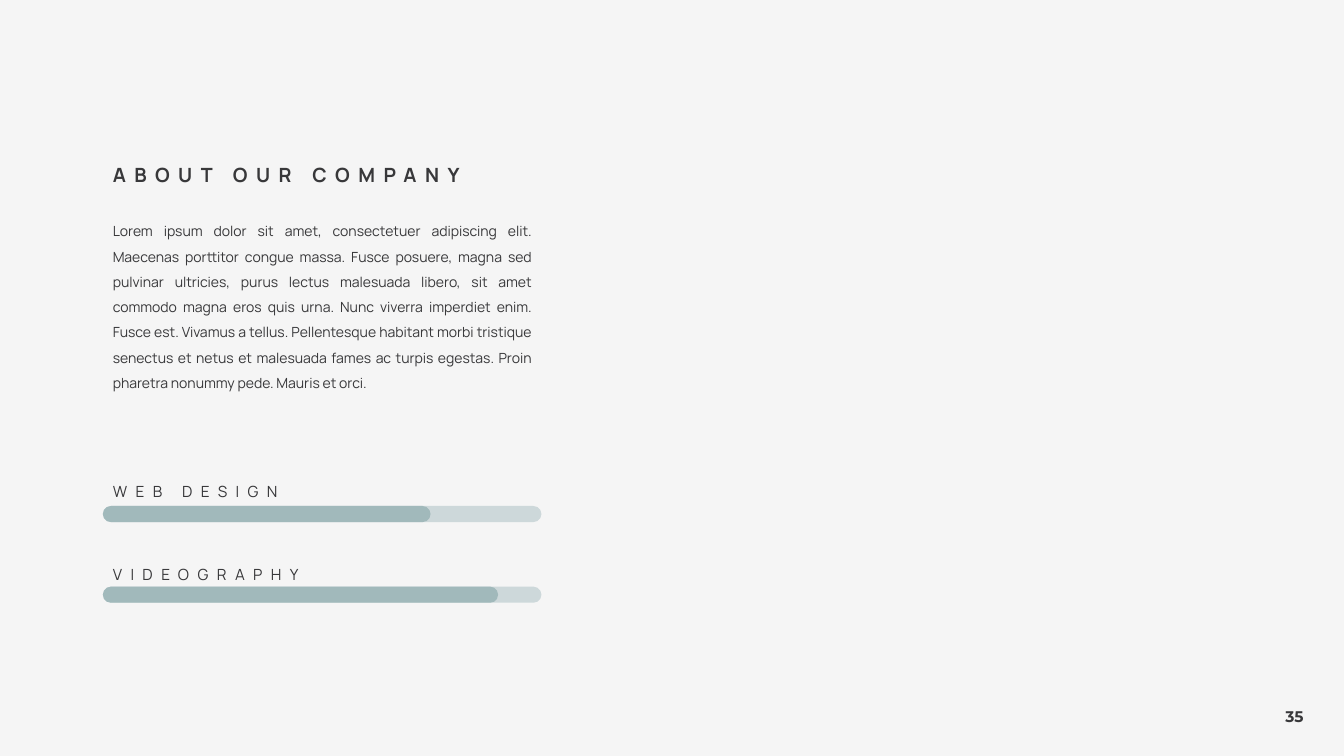
"""Build the company overview slide with two skill bars."""
from pptx import Presentation
from pptx.dml.color import RGBColor
from pptx.enum.shapes import MSO_SHAPE
from pptx.enum.text import MSO_ANCHOR, MSO_AUTO_SIZE, PP_ALIGN
from pptx.util import Inches, Pt

ROUNDED = MSO_SHAPE.ROUNDED_RECTANGLE
TOP, MIDDLE = MSO_ANCHOR.TOP, MSO_ANCHOR.MIDDLE
LEFT, JUSTIFY = PP_ALIGN.LEFT, PP_ALIGN.JUSTIFY
FIT_SHAPE = MSO_AUTO_SIZE.SHAPE_TO_FIT_TEXT
COLORS = {"background": "F5F5F5", "text": "38383A", "track": "CDD8DA", "level": "A1B9BB"}
MARGIN, COLUMN = 1.02, 4.35
ABOUT = (
    "Lorem ipsum dolor sit amet, consectetuer adipiscing elit. Maecenas porttitor congue massa. "
    "Fusce posuere, magna sed pulvinar ultricies, purus lectus malesuada libero, sit amet commodo "
    "magna eros quis urna. Nunc viverra imperdiet enim. Fusce est. Vivamus a tellus. Pellentesque "
    "habitant morbi tristique senectus et netus et malesuada fames ac turpis egestas. Proin pharetra "
    "nonummy pede. Mauris et orci."
)


def add_text(shapes, text, box, size, font="Manrope", bold=False, align=LEFT,
             spacing=1.5, tracking=0, anchor=TOP, wrap=True):
    tf = shapes.add_textbox(*map(Inches, box)).text_frame
    tf.word_wrap = wrap
    tf.auto_size = FIT_SHAPE
    tf.vertical_anchor = anchor
    p = tf.paragraphs[0]
    p.alignment = align
    p.line_spacing = spacing
    r = p.add_run()
    r.text = text
    r.font.name = font
    r.font.size = Pt(size)
    r.font.bold = bold
    r.font.color.rgb = RGBColor.from_string(COLORS["text"])
    if tracking:
        r._r.get_or_add_rPr().set("spc", str(tracking * 100))


def add_bar(shapes, top, width, color):
    sp = shapes.add_shape(ROUNDED, Inches(MARGIN), Inches(top), Inches(width), Inches(0.16))
    sp.adjustments[0] = 0.5
    sp.shadow.inherit = False
    sp.fill.solid()
    sp.fill.fore_color.rgb = RGBColor.from_string(COLORS[color])
    sp.line.fill.background()


prs = Presentation()
prs.slide_width, prs.slide_height = Inches(13.33), Inches(7.5)
s = prs.slides.add_slide(prs.slide_layouts[6])
s.background.fill.solid()
s.background.fill.fore_color.rgb = RGBColor.from_string(COLORS["background"])

add_text(s.shapes, "35", (12.65, 6.97, 0.41, 0.29), 11, font="Montserrat", bold=True,
         spacing=1.0, wrap=False)
add_text(s.shapes, ABOUT, (MARGIN, 2.08, COLUMN, 1.87), 10, align=JUSTIFY)
add_text(s.shapes, "ABOUT OUR COMPANY", (MARGIN, 1.45, COLUMN, 0.41), 14, bold=True,
         align=JUSTIFY, tracking=6)

skills = [
    ("WEB DESIGN", 5.02, 3.25, 4.64, 0.38),
    ("VIDEOGRAPHY", 5.82, 3.92, 5.48, 0.35),
]
for name, bar_top, level, label_top, label_height in skills:
    group = s.shapes.add_group_shape()
    add_bar(group.shapes, bar_top, COLUMN, "track")
    add_bar(group.shapes, bar_top, level, "level")
    add_text(group.shapes, name, (MARGIN, label_top, 3.62, label_height), 11,
             tracking=6, anchor=MIDDLE)

prs.save("out.pptx")
